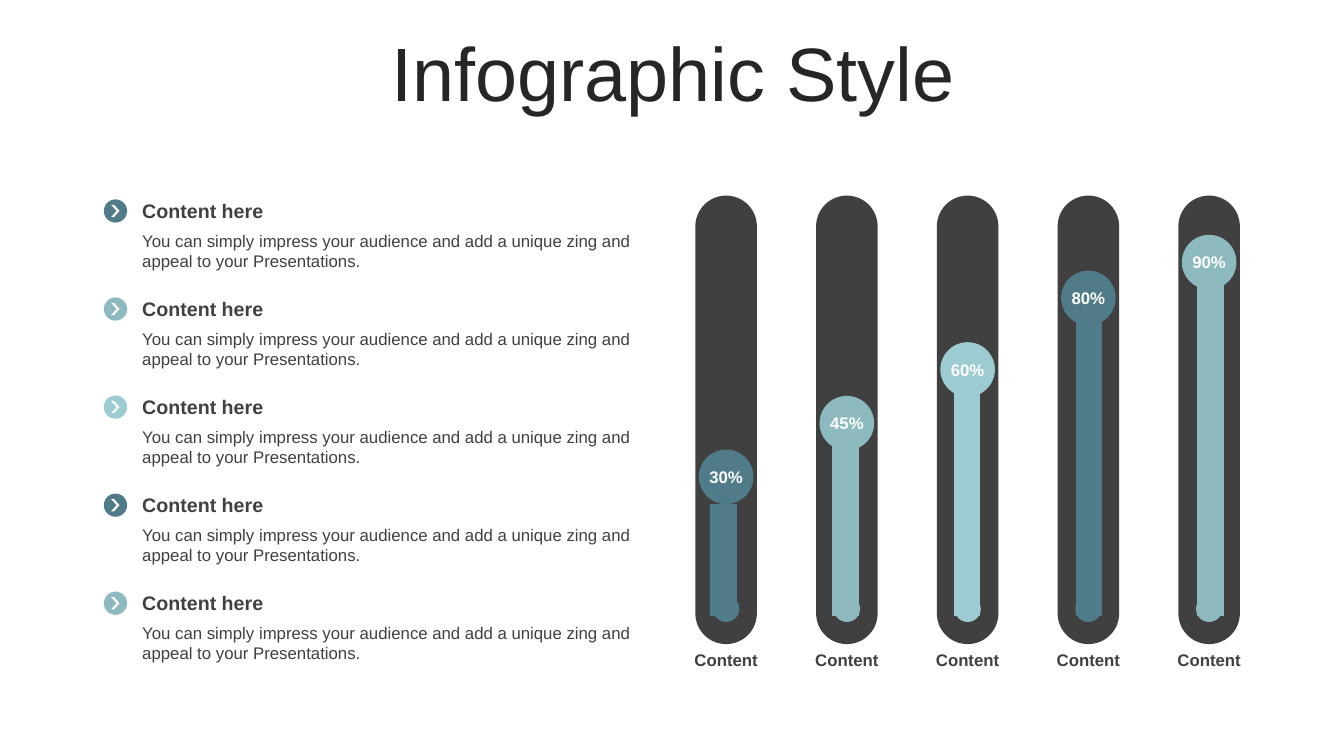
"""Build the infographic slide with five bullet rows and five gauge columns."""
import pptx
import pptx.chart.data
import pptx.dml.color
import pptx.enum.chart
import pptx.enum.shapes
import pptx.enum.text
import pptx.util

Pt = pptx.util.Pt
Shape = pptx.enum.shapes.MSO_SHAPE
Align = pptx.enum.text.PP_ALIGN
Anchor = pptx.enum.text.MSO_ANCHOR
colour = pptx.dml.color.RGBColor.from_string

DARK, WHITE = "404040", "FFFFFF"
TEAL, SAGE, AQUA = "507C89", "8CBABE", "9CCCD2"
accents = [TEAL, SAGE, AQUA, TEAL, SAGE]
percents = [30, 45, 60, 80, 90]
bar_values = [33, 50, 67, 89, 100]
centers = [518.7 + 86.25 * column for column in range(5)]

presentation = pptx.Presentation()
presentation.slide_width, presentation.slide_height = Pt(960), Pt(540)
slide = presentation.slides.add_slide(presentation.slide_layouts[6])


def add_text(text, left, top, width, height, size=12, color=DARK, bold=False,
             align=Align.LEFT, anchor=Anchor.MIDDLE, line_spacing=1.0):
    box = slide.shapes.add_textbox(Pt(left), Pt(top), Pt(width), Pt(height))
    box.text_frame.word_wrap = True
    box.text_frame.vertical_anchor = anchor
    paragraph = box.text_frame.paragraphs[0]
    paragraph.alignment = align
    paragraph.line_spacing = line_spacing
    run = paragraph.add_run()
    run.text = text
    run.font.name = "Arial"
    run.font.size = Pt(size)
    run.font.bold = bold
    run.font.color.rgb = colour(color)


def add_figure(kind, left, top, width, height, fill, adjustment=None):
    figure = slide.shapes.add_shape(kind, Pt(left), Pt(top), Pt(width), Pt(height))
    figure.shadow.inherit = False
    figure.fill.solid()
    figure.fill.fore_color.rgb = colour(fill)
    figure.line.fill.background()
    if adjustment is not None:
        figure.adjustments[0] = adjustment


add_text("Infographic Style", 25.2, 26.6, 911.5, 56.9, size=54, color="262626",
         align=Align.CENTER, line_spacing=0.9)

for center in centers:
    add_figure(Shape.ROUNDED_RECTANGLE, center - 22, 139.7, 44, 320.4, DARK, 0.5)

levels = pptx.chart.data.CategoryChartData()
levels.categories = ["1", "2", "3", "4", "5"]
levels.add_series("Series 1", bar_values)
chart = slide.shapes.add_chart(
    pptx.enum.chart.XL_CHART_TYPE.COLUMN_STACKED,
    Pt(464.4), Pt(167.8), Pt(452.9), Pt(277.9), levels).chart
chart.has_legend = False
chart.has_title = False
chart.font.name = "Arial"
chart.font.size = Pt(18)
chart.font.color.rgb = colour("000000")
chart.category_axis.visible = False
chart.value_axis.visible = False
chart.value_axis.has_major_gridlines = False
chart.value_axis.minimum_scale = 0
chart.value_axis.maximum_scale = 110
bars = chart.plots[0]
bars.gap_width = 360
bars.overlap = 100
bars.vary_by_categories = False
for index, accent in enumerate(accents):
    bar_fill = bars.series[0].points[index].format.fill
    bar_fill.solid()
    bar_fill.fore_color.rgb = colour(accent)

for center, percent, accent in zip(centers, percents, accents):
    ball_top = 397.8 - 2.556 * percent
    add_figure(Shape.OVAL, center - 19.5, ball_top, 39, 39, accent)
    add_figure(Shape.OVAL, center - 9.4, 425.5, 18.8, 18.8, accent)
    add_text(f"{percent}%", center - 20.2, ball_top + 8.6, 40.4, 21.8,
             color=WHITE, bold=True, align=Align.CENTER)
    add_text("Content", center - 31, 460.1, 62, 21.8, bold=True, align=Align.CENTER)

for row, accent in enumerate(accents):
    row_top = 138.4 + 70.05 * row
    add_figure(Shape.OVAL, 74.2, row_top + 4, 16.6, 16.6, accent)
    add_figure(Shape.CHEVRON, 79.4, row_top + 7.9, 6, 8.8, WHITE, 0.652)
    add_text("Content here", 94.5, row_top, 373, 24.2, size=14, bold=True)
    add_text("You can simply impress your audience and add a unique zing "
             "and appeal to your Presentations.",
             94.5, row_top + 22.9, 373, 36.4, anchor=Anchor.TOP)

presentation.save("out.pptx")
